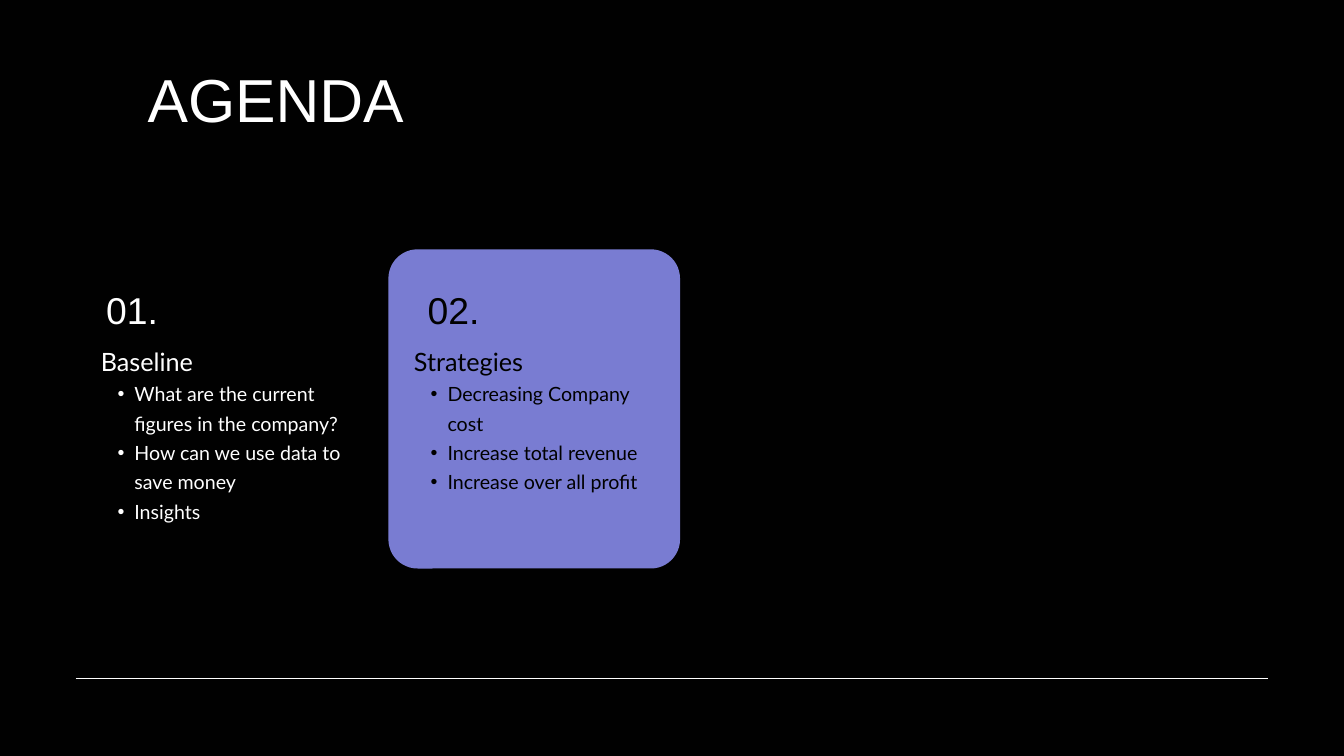
from lxml.etree import SubElement
from pptx import Presentation
from pptx.dml.color import RGBColor as Color
from pptx.enum.shapes import MSO_CONNECTOR as Connector, MSO_SHAPE as Shape
from pptx.enum.text import PP_ALIGN as Align
from pptx.oxml.ns import qn
from pptx.util import Inches, Pt

COLUMNS, ROWS = 160, 90
WIDTH, HEIGHT = Inches(20), Inches(11.25)
COLORS = {"ground": "010101", "panel": "797CD2", "light": "FFFFFF", "dark": "010101", "black": "000000"}
TOPICS = [
    {
        "number": "01.", "heading": "Baseline", "box": (12, 32.8, 29.44, 32.9),
        "number_width": 7.44, "number_ink": "light", "ink": "light",
        "points": ["What are the current figures in the company?",
                   "How can we use data to save money", "Insights"],
    },
    {
        "number": "02.", "heading": "Strategies", "box": (49.28, 32.8, 29.44, 32.9),
        "number_width": 9.44, "number_ink": "dark", "ink": "black",
        "panel": (46.24, 29.68, 34.72, 38),
        "points": ["Decreasing Company cost", "Increase total revenue", "Increase over all profit"],
    },
]


def to_length(left, top, width, height):
    """Turn a box in grid columns and rows into slide lengths."""
    return (int(left * WIDTH / COLUMNS), int(top * HEIGHT / ROWS),
            int(width * WIDTH / COLUMNS), int(height * HEIGHT / ROWS))


def add_frame(page, box):
    """Add a wrapping text box without margins and return its frame."""
    frame = page.shapes.add_textbox(*to_length(*box)).text_frame
    settings = {"word_wrap": True, "margin_left": 0, "margin_top": 0, "margin_right": 0, "margin_bottom": 0}
    for name, value in settings.items():
        setattr(frame, name, value)
    return frame


def write(para, text, font, size, ink, align=Align.LEFT):
    """Write one run with line spacing of one and a half times its size."""
    para.alignment, para.line_spacing = align, Pt(size * 1.5)
    span = para.add_run()
    span.text = text
    for name, value in {"name": font, "size": Pt(size)}.items():
        setattr(span.font, name, value)
    span.font.color.rgb = Color.from_string(COLORS[ink])


def add_bullet(para):
    """Give a paragraph a hanging bullet at the second level."""
    para.level = 1
    properties = para._p.get_or_add_pPr()
    properties.set("marL", str(Inches(0.5)))
    properties.set("indent", str(Inches(-0.25)))
    SubElement(properties, qn("a:buFont"), typeface="Arial")
    SubElement(properties, qn("a:buChar"), char="•")


def add_title(page, box):
    """Place the centred slide title in its box."""
    write(add_frame(page, box).paragraphs[0], "AGENDA", "Arial", 65, "light", Align.CENTER)


def add_panel(page, box):
    """Place a rounded coloured panel in its box."""
    panel = page.shapes.add_shape(Shape.ROUNDED_RECTANGLE, *to_length(*box))
    panel.shadow.inherit = False
    panel.adjustments[0] = 0.1
    panel.fill.solid()
    panel.fill.fore_color.rgb = Color.from_string(COLORS["panel"])
    panel.line.fill.background()


def add_topic(page, topic):
    """Place a topic's number above its heading and bullet points."""
    left, top, width, height = topic["box"]
    if "panel" in topic:
        add_panel(page, topic["panel"])
    number = add_frame(page, (left, top, topic["number_width"], 6.56))
    write(number.paragraphs[0], topic["number"], "Arial", 40, topic["number_ink"], Align.CENTER)
    body = add_frame(page, (left, top + 7.5, width, height - 7.5))
    write(body.paragraphs[0], topic["heading"], "Lato", 27, topic["ink"])
    for point in topic["points"]:
        para = body.add_paragraph()
        write(para, point, "Lato", 21, topic["ink"])
        add_bullet(para)


def add_rule(page, box):
    """Draw the footer rule along the top of its box."""
    left, top, width, height = to_length(*box)
    rule = page.shapes.add_connector(Connector.STRAIGHT, left, top, left + width, top + height)
    rule.line.color.rgb = Color.from_string(COLORS["light"])
    rule.line.width = Pt(1.5)
    SubElement(rule._element.spPr, qn("a:effectLst"))


def main():
    """Build the agenda slide and save the deck."""
    deck = Presentation()
    deck.slide_width, deck.slide_height = WIDTH, HEIGHT
    page = deck.slides.add_slide(deck.slide_layouts[6])
    page.background.fill.solid()
    page.background.fill.fore_color.rgb = Color.from_string(COLORS["ground"])
    add_title(page, (8, 5.2, 49.68, 10.4))
    for topic in TOPICS:
        add_topic(page, topic)
    add_rule(page, (9, 80.8, 142, 0))
    deck.save("out.pptx")


if __name__ == "__main__":
    main()
